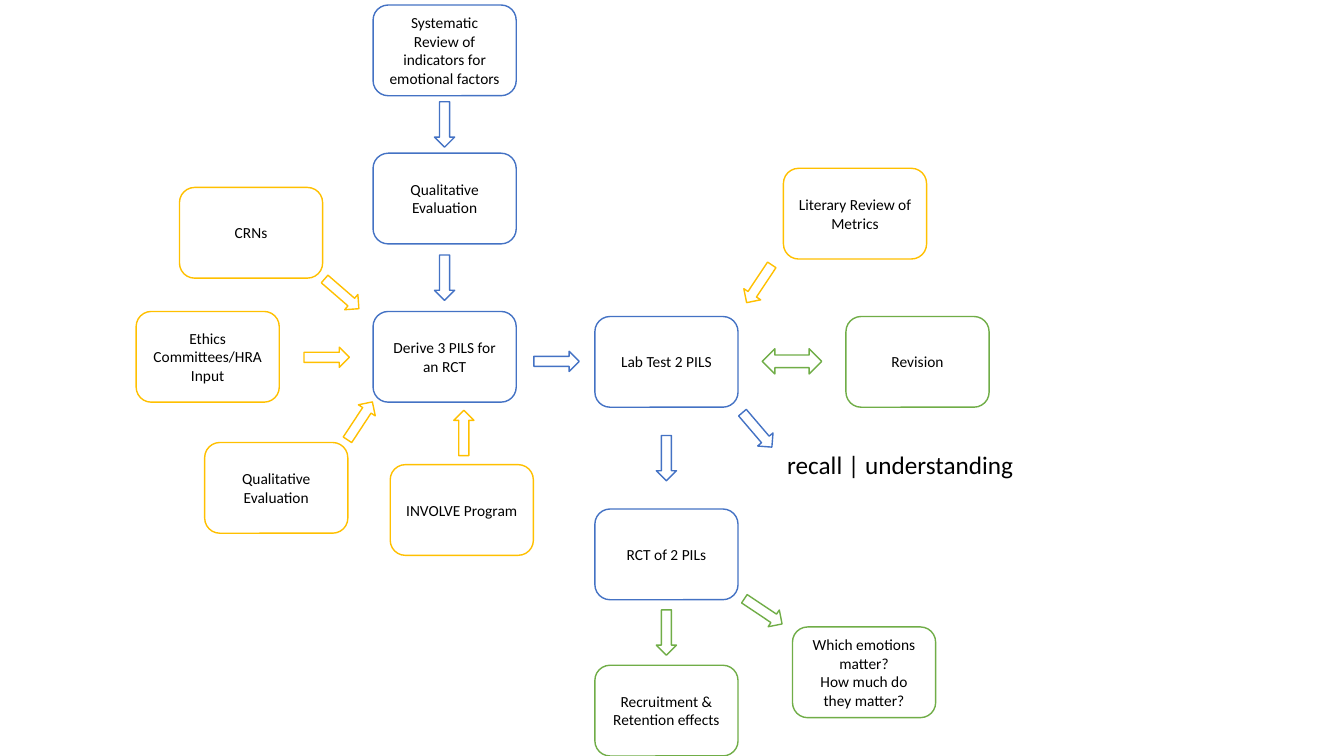
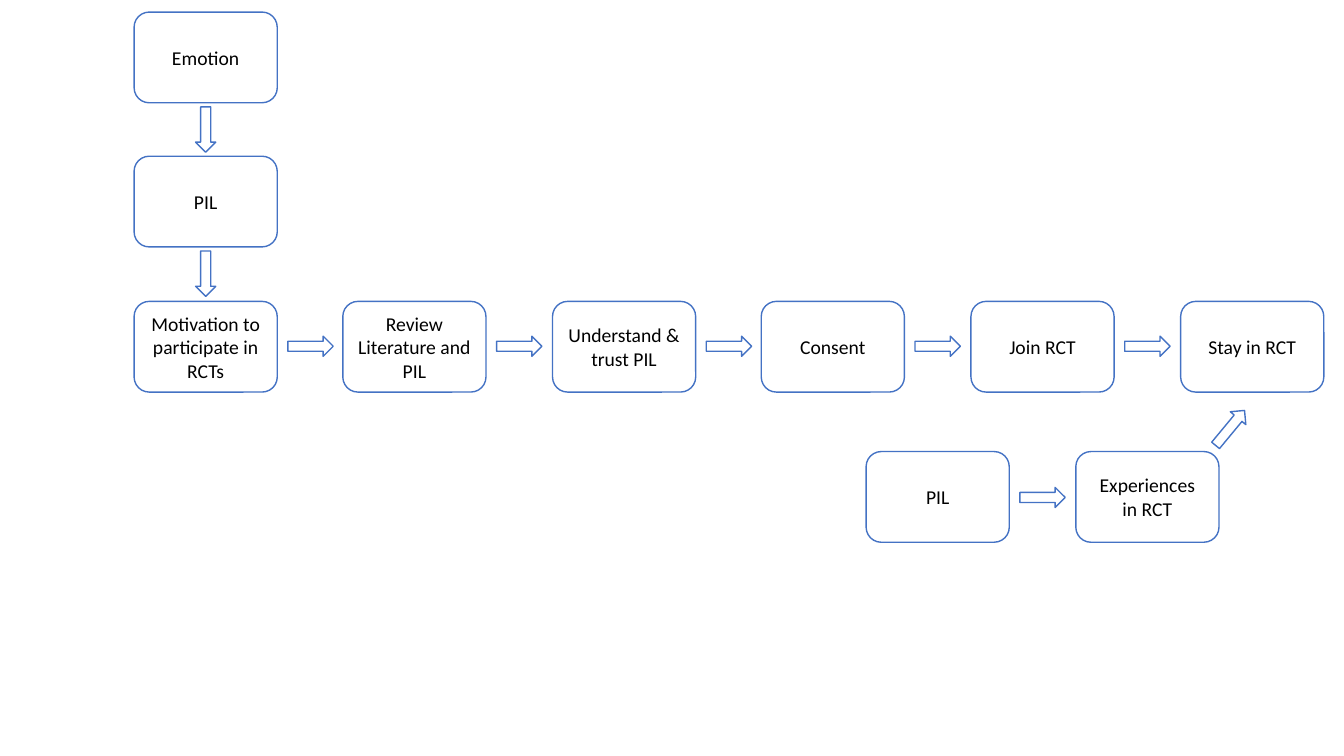
from pptx import Presentation
from pptx import util as u
from pptx.dml.color import RGBColor
from pptx.enum import shapes, text

PX = 9144
FORM = shapes.MSO_SHAPE


class Theme:
    blue = RGBColor.from_string("4472C4")
    gold = RGBColor.from_string("FFC000")
    green = RGBColor.from_string("70AD47")
    white = RGBColor.from_string("FFFFFF")
    black = RGBColor.from_string("000000")
    font = "Calibri"
    small, medium, large = u.Pt(11), u.Pt(14), u.Pt(18)
    line = u.Pt(1)
    box = (142, 90)
    arrow = (20, 45)
    double = (59, 25)


def draw(slide, form, left, top, size, color, turn=0):
    shape = slide.shapes.add_shape(form, *(n * PX for n in (left, top, *size)))
    shape.shadow.inherit = False
    shape.rotation = turn
    shape.fill.solid()
    shape.fill.fore_color.rgb = Theme.white
    shape.line.color.rgb = color
    shape.line.width = Theme.line
    return shape


def write(shape, words, size, align, wrap):
    frame = shape.text_frame
    frame.text = words
    frame.word_wrap = wrap
    for para in frame.paragraphs:
        para.alignment = align
        for key, value in {"name": Theme.font, "size": size}.items():
            setattr(para.font, key, value)
        para.font.color.rgb = Theme.black


deck = Presentation()
deck.slide_width, deck.slide_height = 1333 * PX, 750 * PX
blank = deck.slide_layouts[6]

blue, gold, green = Theme.blue, Theme.gold, Theme.green

study = {
    "size": Theme.small,
    "boxes": [
        ("Systematic Review of indicators for emotional factors", 370, 5, blue),
        ("CRNs", 178, 186, gold),
        ("Qualitative Evaluation", 370, 152, blue),
        ("Ethics Committees/HRA Input", 135, 309, gold),
        ("INVOLVE Program", 387, 461, gold),
        ("Derive 3 PILS for an RCT", 370, 309, blue),
        ("Lab Test 2 PILS", 590, 314, blue),
        ("Qualitative Evaluation", 203, 439, gold),
        ("Literary Review of Metrics", 777, 167, gold),
        ("Revision", 839, 314, green),
        ("RCT of 2 PILs", 590, 505, blue),
        ("Which emotions matter?\nHow much do they matter?", 786, 622, green),
        ("Recruitment & Retention effects", 590, 660, green),
    ],
    "arrows": [
        (431, 101, blue, 0),
        (431, 253, blue, 0),
        (651, 432, blue, 0),
        (743, 259, gold, 33.6),
        (651, 605, green, 0),
        (747, 584, green, 303.8),
        (741, 404, blue, 319.5),
        (329, 269, gold, 310.9),
        (314, 332, gold, 270),
        (347, 395, gold, 213.3),
        (450, 407, gold, 180),
        (542, 336, blue, 270),
    ],
}

steps = ["Motivation to participate in RCTs", "Review Literature and PIL",
         "Understand & trust PIL", "Consent", "Join RCT", "Stay in RCT"]
across = [1038 * i // 5 for i in range(len(steps))]
down = [287 * i // 2 for i in range(3)]

journey = {
    "size": Theme.medium,
    "boxes": [
        ("Emotion", 133, 12 + down[0], blue),
        ("PIL", 133, 12 + down[1], blue),
        *((step, 133 + x, 12 + down[2], blue) for step, x in zip(steps, across)),
        ("Experiences in RCT", 1067, 448, blue),
        ("PIL", 859, 448, blue),
    ],
    "arrows": [
        *((194, 106 + y, blue, 0) for y in down[:-1]),
        *((298 + x, 321, blue, 270) for x in across[:-1]),
        (1024, 471, blue, 270),
        (1210, 402, blue, 219.6),
    ],
}

for flow in (study, journey):
    slide = deck.slides.add_slide(blank)
    for words, left, top, color in flow["boxes"]:
        box = draw(slide, FORM.ROUNDED_RECTANGLE, left, top, Theme.box, color)
        box.text_frame.vertical_anchor = text.MSO_ANCHOR.MIDDLE
        write(box, words, flow["size"], text.PP_ALIGN.CENTER, True)
    for left, top, color, turn in flow["arrows"]:
        draw(slide, FORM.DOWN_ARROW, left, top, Theme.arrow, color, turn)

first = deck.slides[0]
draw(first, FORM.LEFT_RIGHT_ARROW, 756, 346, Theme.double, green)
label = first.shapes.add_textbox(*(n * PX for n in (771, 441, 247, 40)))
write(label, "recall | understanding", Theme.large, text.PP_ALIGN.LEFT, False)

deck.save("out.pptx")
